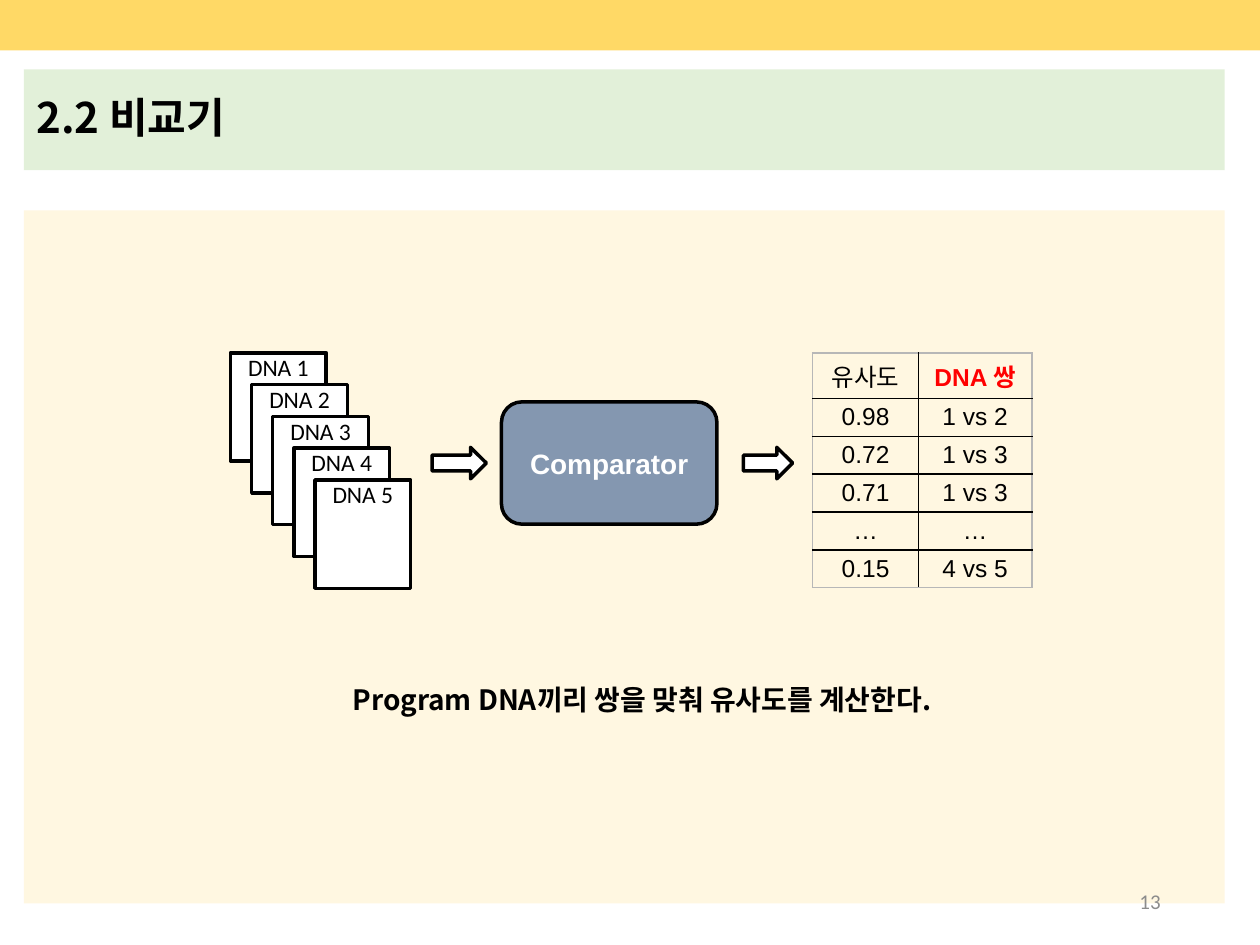
"""Build the comparator slide: DNA samples, a comparator and a similarity table."""
from lxml import etree
from pptx import Presentation
from pptx.dml.color import RGBColor
from pptx.enum.shapes import MSO_SHAPE
from pptx.enum.text import MSO_ANCHOR, MSO_AUTO_SIZE, PP_ALIGN
from pptx.oxml.ns import qn
from pptx.util import Inches, Pt

RECTANGLE = MSO_SHAPE.RECTANGLE
ROUNDED = MSO_SHAPE.ROUNDED_RECTANGLE
ARROW = MSO_SHAPE.RIGHT_ARROW
TOP, MIDDLE = MSO_ANCHOR.TOP, MSO_ANCHOR.MIDDLE
LEFT, CENTER, RIGHT = PP_ALIGN.LEFT, PP_ALIGN.CENTER, PP_ALIGN.RIGHT
GROW, FIXED = MSO_AUTO_SIZE.SHAPE_TO_FIT_TEXT, MSO_AUTO_SIZE.NONE

THEME = {
    "colors": {
        "banner": "FFD966", "heading": "E2F0D9", "panel": "FFF7E1",
        "comparator": "8497B0", "white": "FFFFFF", "black": "000000",
        "highlight": "FF0000", "number": "8C8C8C", "frame": "B7B7B7",
    },
    "korean": "Noto Sans CJK KR",
    "styles": {
        "title": {"name": "Noto Sans CJK KR", "size": Pt(24), "bold": True},
        "caption": {"name": "Noto Sans CJK KR", "size": Pt(16), "bold": True},
        "sample": {"name": "Calibri", "size": Pt(13.5), "bold": False},
        "comparator": {"name": "Arial", "size": Pt(16), "bold": True},
        "cell": {"name": "Arial", "size": Pt(14), "bold": False},
        "cell_strong": {"name": "Arial", "size": Pt(14), "bold": True},
        "number": {"name": "Calibri", "size": Pt(12), "bold": False},
    },
    "outline": Pt(2),
}

SIMILARITIES = [
    ("유사도", "DNA 쌍"),
    ("0.98", "1 vs 2"),
    ("0.72", "1 vs 3"),
    ("0.71", "1 vs 3"),
    ("…", "…"),
    ("0.15", "4 vs 5"),
]


def color(name):
    """Return a theme colour."""
    return RGBColor.from_string(THEME["colors"][name])


def set_attributes(target, values):
    """Set each named attribute on the target."""
    for name, value in values.items():
        setattr(target, name, value)


def write(frame, text, style, ink="black", align=CENTER):
    """Write one styled paragraph and return it."""
    paragraph = frame.paragraphs[0]
    paragraph.alignment = align
    run = paragraph.add_run()
    run.text = text
    set_attributes(run.font, THEME["styles"][style])
    run.font.color.rgb = color(ink)
    east_asian = etree.SubElement(run.font._element, qn("a:ea"))
    east_asian.set("typeface", THEME["korean"])
    return paragraph


def add_block(slide, kind, box, fill, outlined=False):
    """Add a filled preset shape, with a black outline if asked."""
    block = slide.shapes.add_shape(kind, *map(Inches, box))
    block.shadow.inherit = False
    block.fill.solid()
    block.fill.fore_color.rgb = color(fill)
    if outlined:
        block.line.color.rgb = color("black")
        block.line.width = THEME["outline"]
    else:
        block.line.fill.background()
    return block


def add_title(slide, text, box):
    """Place and format the title placeholder."""
    title = slide.shapes.title
    places = map(Inches, box)
    set_attributes(title, dict(zip(("left", "top", "width", "height"), places)))
    title.fill.solid()
    title.fill.fore_color.rgb = color("heading")
    set_attributes(title.text_frame, {"vertical_anchor": MIDDLE, "auto_size": FIXED})
    write(title.text_frame, text, "title", align=LEFT).line_spacing = 0.9


def add_samples(slide, count, first, last):
    """Stack overlapping sample cards evenly between two corners."""
    for index in range(count):
        left, top = (a + (b - a) * index / (count - 1) for a, b in zip(first, last))
        card = add_block(slide, RECTANGLE, (left, top, 0.76, 0.86), "white", True)
        set_attributes(card.text_frame, {
            "vertical_anchor": TOP, "margin_top": 0, "margin_bottom": 0,
            "margin_left": 0, "margin_right": 0,
        })
        write(card.text_frame, f"DNA {index + 1}", "sample")


def add_label(slide, text, box, style, ink, align, layout):
    """Add a text box with the given frame layout."""
    label = slide.shapes.add_textbox(*map(Inches, box))
    set_attributes(label.text_frame, layout)
    write(label.text_frame, text, style, ink, align)


def add_borders(cell, edges):
    """Draw cell borders, grey on the outer frame and black inside."""
    properties = cell._tc.get_or_add_tcPr()
    for position, (side, is_outer) in enumerate(edges.items()):
        line = etree.Element(qn(f"a:{side}"), w=str(Pt(1)))
        fill = etree.SubElement(line, qn("a:solidFill"))
        ink = THEME["colors"]["frame" if is_outer else "black"]
        etree.SubElement(fill, qn("a:srgbClr"), val=ink)
        properties.insert(position, line)


def add_similarity_table(slide, rows, box, widths, heights):
    """Add the table of similarities and DNA pairs."""
    graphic = slide.shapes.add_table(len(rows), len(widths), *map(Inches, box))
    table = graphic.table
    set_attributes(table, {"first_row": False, "horz_banding": False})
    for column, width in zip(table.columns, widths):
        column.width = Inches(width)
    for row, height in zip(table.rows, heights):
        row.height = Inches(height)
    for r, values in enumerate(rows):
        for c, value in enumerate(values):
            cell = table.cell(r, c)
            set_attributes(cell, {
                "margin_left": Inches(0.07), "margin_right": Inches(0.07),
                "margin_top": Inches(0.04), "margin_bottom": Inches(0.04),
            })
            cell.fill.background()
            strong = (r, c) == (0, 1)
            write(cell.text_frame, value, "cell_strong" if strong else "cell",
                  "highlight" if strong else "black")
            add_borders(cell, {
                "lnL": c == 0, "lnR": c == len(widths) - 1,
                "lnT": r == 0, "lnB": r == len(rows) - 1,
            })


def main():
    """Build and save the slide."""
    deck = Presentation()
    set_attributes(deck, {"slide_width": Inches(10), "slide_height": Inches(7.5)})
    slide = deck.slides.add_slide(deck.slide_layouts[5])

    add_block(slide, RECTANGLE, (0.19, 1.67, 9.53, 5.5), "panel")
    add_block(slide, RECTANGLE, (0, 0, 10, 0.4), "banner")
    add_title(slide, "2.2 비교기", (0.19, 0.55, 9.53, 0.8))

    add_samples(slide, 5, (1.83, 2.8), (2.5, 3.81))
    for left, width in ((3.43, 0.43), (5.9, 0.39)):
        add_block(slide, ARROW, (left, 3.55, width, 0.25), "white", True)
    comparator = add_block(slide, ROUNDED, (3.98, 3.19, 1.71, 0.97), "comparator", True)
    comparator.text_frame.vertical_anchor = MIDDLE
    write(comparator.text_frame, "Comparator", "comparator", "white")
    add_similarity_table(slide, SIMILARITIES, (6.45, 2.8, 1.74, 1.86),
                         (0.84, 0.9), (0.36, *[0.3] * 5))

    add_label(slide, "Program DNA끼리 쌍을 맞춰 유사도를 계산한다.",
              (2.7, 5.37, 4.91, 0.37), "caption", "black", LEFT,
              {"word_wrap": False, "auto_size": GROW})
    add_label(slide, "13", (7.06, 6.95, 2.25, 0.4), "number", "number", RIGHT,
              {"word_wrap": True, "vertical_anchor": MIDDLE})
    deck.save("out.pptx")


if __name__ == "__main__":
    main()
